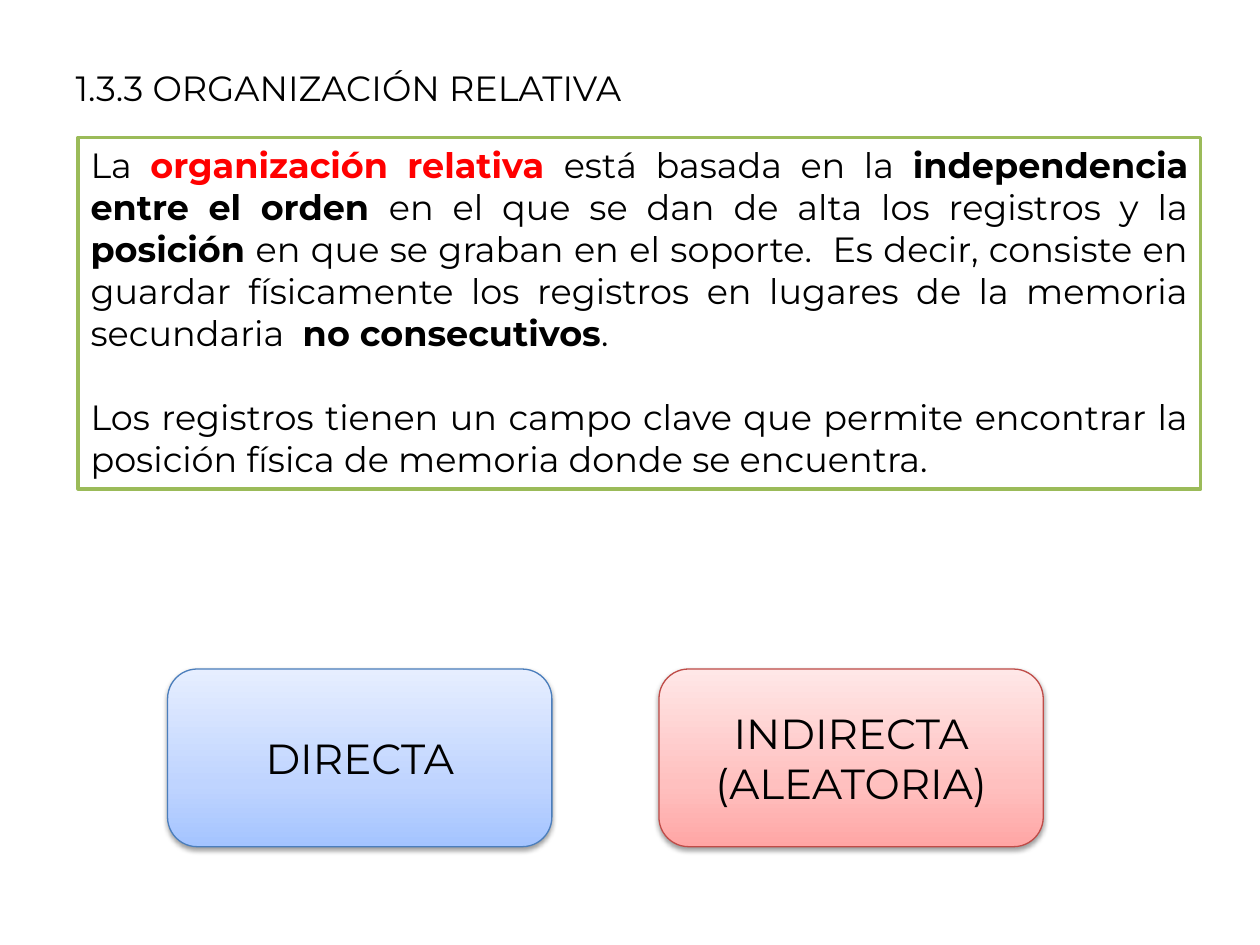
from copy import deepcopy
from dataclasses import dataclass
from lxml import etree
from pptx import Presentation
from pptx.dml.color import RGBColor
from pptx.enum.shapes import MSO_SHAPE
from pptx.enum.text import MSO_ANCHOR, PP_ALIGN
from pptx.oxml.ns import qn
from pptx.util import Inches, Pt


@dataclass
class Theme:
    font: str = "Montserrat"
    body: int = 20
    label: int = 24
    text: str = "000000"
    key: str = "FF0000"
    paper: str = "FFFFFF"
    frame: str = "9BBB59"
    blue: tuple = ("A4C4FF", "BFD4FF", "E6EEFF")
    blue_edge: str = "4B7EBC"
    red: tuple = ("FFA6A5", "FFC0BF", "FFE7E7")
    red_edge: str = "BF4C48"


theme = Theme()
rgb = RGBColor.from_string


def style(para, size, align):
    para.alignment = align
    para.font.name = theme.font
    para.font.size = Pt(size)
    para.font.color.rgb = rgb(theme.text)


def add_box(kind, left, top, width, height, edge, weight):
    box = slide.shapes.add_shape(
        kind, Inches(left), Inches(top), Inches(width), Inches(height))
    box.shadow.inherit = False
    box.line.color.rgb = rgb(edge)
    box.line.width = Pt(weight)
    box.text_frame.word_wrap = True
    return box


deck = Presentation()
deck.slide_width, deck.slide_height = Inches(10), Inches(7.5)
slide = deck.slides.add_slide(deck.slide_layouts[5])

# Title
title = slide.shapes.title
title.left, title.top = Inches(0.5), Inches(0.3)
title.width, title.height = Inches(8.95), Inches(0.79)
title.text_frame.text = "1.3.3 ORGANIZACIÓN RELATIVA"
title.text_frame.vertical_anchor = MSO_ANCHOR.MIDDLE
style(title.text_frame.paragraphs[0], theme.body, PP_ALIGN.JUSTIFY)

# Framed definition: (text, bold, colour) for each run
facts = [
    [("La ", False, theme.text),
     ("organización relativa ", True, theme.key),
     ("está basada en la ", False, theme.text),
     ("independencia entre el orden ", True, theme.text),
     ("en el que se dan de alta los registros y la ", False, theme.text),
     ("posición", True, theme.text),
     (" en que se graban en el soporte.  Es decir, consiste en guardar "
      "físicamente los registros en lugares de la memoria secundaria  ",
      False, theme.text),
     ("no consecutivos", True, theme.text),
     (".", False, theme.text)],
    [("Los registros tienen un campo clave que permite encontrar la "
      "posición física de memoria donde se encuentra. ", False, theme.text)],
]
panel = add_box(MSO_SHAPE.RECTANGLE, 0.62, 1.09, 8.91, 2.79, theme.frame, 2)
panel.fill.solid()
panel.fill.fore_color.rgb = rgb(theme.paper)
frame = panel.text_frame
frame.vertical_anchor = MSO_ANCHOR.TOP
for i, runs in enumerate(facts):
    para = frame.add_paragraph() if i else frame.paragraphs[0]
    style(para, theme.body, PP_ALIGN.JUSTIFY)
    para.space_before = Pt(24 * i)
    for text, bold, color in runs:
        run = para.add_run()
        run.text = text
        run.font.bold = bold
        run.font.color.rgb = rgb(color)

# The two kinds of relative organization
kinds = [("DIRECTA", theme.blue, theme.blue_edge),
         ("INDIRECTA (ALEATORIA)", theme.red, theme.red_edge)]
for i, (name, shades, edge) in enumerate(kinds):
    card = add_box(MSO_SHAPE.ROUNDED_RECTANGLE,
                   1.33 + 3.9 * i, 5.31, 3.05, 1.41, edge, 0.75)
    card.text_frame.text = name
    card.text_frame.vertical_anchor = MSO_ANCHOR.MIDDLE
    style(card.text_frame.paragraphs[0], theme.label, PP_ALIGN.CENTER)

    # Three-stop gradient, dark at the bottom
    card.fill.gradient()
    card.fill.gradient_angle = 90
    props = card._element.spPr
    first = props.find(".//" + qn("a:gs"))
    first.addnext(deepcopy(first))
    for stop, spot, shade in zip(card.fill.gradient_stops, (0, 0.35, 1), shades):
        stop.position = spot
        stop.color.rgb = rgb(shade)

    # Soft shadow below
    glow = etree.SubElement(
        props.find(qn("a:effectLst")), qn("a:outerShdw"),
        blurRad=str(Pt(3.1)), dist=str(Pt(1.6)), dir="5400000", rotWithShape="0")
    tint = etree.SubElement(glow, qn("a:srgbClr"), val=theme.text)
    etree.SubElement(tint, qn("a:alpha"), val="38000")

deck.save("out.pptx")
